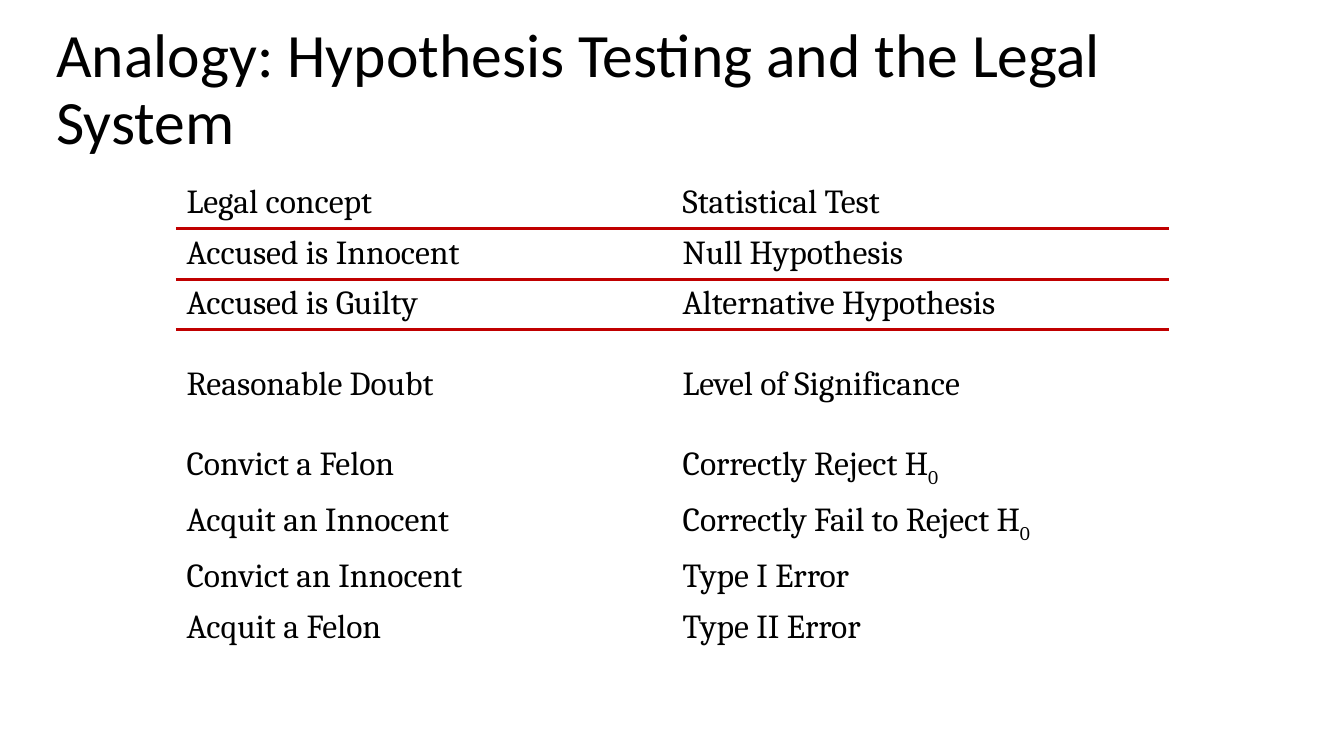
from dataclasses import dataclass

from lxml.etree import SubElement
from pptx import Presentation
from pptx.dml.color import RGBColor
from pptx.enum.text import MSO_ANCHOR
from pptx.oxml.ns import qn
from pptx.util import Inches, Pt


@dataclass(frozen=True)
class Theme:
    ink: str = "000000"
    rule: str = "C00000"
    title_font: str = "Calibri"
    body_font: str = "Cambria"
    title_size: float = 44
    body_size: float = 24
    spacer_size: float = 10
    rule_width: float = 2.25


THEME = Theme()
ROW_HEIGHT = 0.41
SPACER_HEIGHT = 0.3
COLUMN_WIDTH = 4.92
RULED_ROWS = (0, 1)  # rows with a rule below them

# "_" marks the start of a subscript; an empty pair is a spacer row.
ANALOGIES = [
    ("Legal concept", "Statistical Test"),
    ("Accused is Innocent", "Null Hypothesis"),
    ("Accused is Guilty", "Alternative Hypothesis"),
    ("", ""),
    ("Reasonable Doubt", "Level of Significance"),
    ("", ""),
    ("Convict a Felon", "Correctly Reject H_0"),
    ("Acquit an Innocent", "Correctly Fail to Reject H_0"),
    ("Convict an Innocent", "Type I Error"),
    ("Acquit a Felon", "Type II Error"),
]


def write_text(frame, text, *, font, size, color=THEME.ink, line_spacing=None):
    """Fill the first paragraph, setting whatever follows "_" as a subscript."""
    paragraph = frame.paragraphs[0]
    if line_spacing:
        paragraph.line_spacing = line_spacing
    for index, part in enumerate(text.split("_")):
        run = paragraph.add_run()
        run.text = part
        run.font.name = font
        run.font.size = Pt(size)
        run.font.color.rgb = RGBColor.from_string(color)
        if index:
            run.font._element.set("baseline", "-25000")


def shrink_empty_cell(cell):
    """Let a spacer row stay lower than a line of body text."""
    end = SubElement(cell.text_frame.paragraphs[0]._p, qn("a:endParaRPr"))
    end.set("sz", str(THEME.spacer_size * 100))


def add_border(cell, side):
    properties = cell._tc.get_or_add_tcPr()
    line = SubElement(properties, qn(f"a:{side}"), w=str(Pt(THEME.rule_width)))
    fill = SubElement(line, qn("a:solidFill"))
    SubElement(fill, qn("a:srgbClr"), val=THEME.rule)
    properties.insert(0, line)


def add_title(slide, text):
    title = slide.shapes.add_textbox(
        Inches(0.46), Inches(0.18), Inches(12.42), Inches(1.45)
    )
    title.text_frame.word_wrap = True
    title.text_frame.vertical_anchor = MSO_ANCHOR.MIDDLE
    write_text(title.text_frame, text, font=THEME.title_font,
               size=THEME.title_size, line_spacing=0.9)


def add_analogy_table(slide, analogies):
    heights = [ROW_HEIGHT if any(pair) else SPACER_HEIGHT for pair in analogies]
    table = slide.shapes.add_table(
        len(analogies), 2, Inches(1.75), Inches(1.77),
        Inches(2 * COLUMN_WIDTH), Inches(sum(heights))
    ).table
    table.first_row = False
    table.horz_banding = False
    for column in table.columns:
        column.width = Inches(COLUMN_WIDTH)
    for row, (pair, height) in enumerate(zip(analogies, heights)):
        table.rows[row].height = Inches(height)
        for column, text in enumerate(pair):
            cell = table.cell(row, column)
            cell.fill.background()
            if text:
                write_text(cell.text_frame, text, font=THEME.body_font,
                           size=THEME.body_size)
            else:
                shrink_empty_cell(cell)
            if row in RULED_ROWS:
                add_border(cell, "lnB")
            if row - 1 in RULED_ROWS:
                add_border(cell, "lnT")


def main():
    presentation = Presentation()
    presentation.slide_width = Inches(13.33)
    presentation.slide_height = Inches(7.5)
    slide = presentation.slides.add_slide(presentation.slide_layouts[6])
    add_title(slide, "Analogy: Hypothesis Testing and the Legal System")
    add_analogy_table(slide, ANALOGIES)
    presentation.save("out.pptx")


if __name__ == "__main__":
    main()
